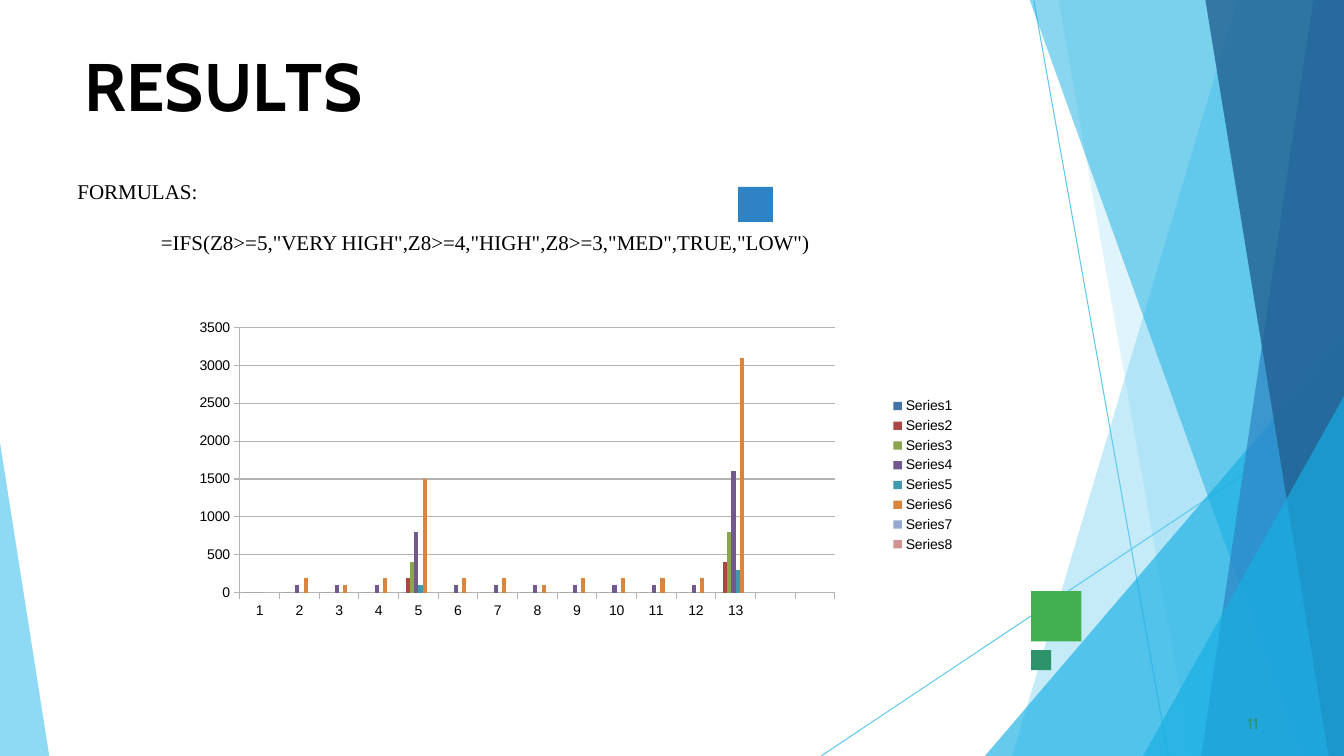
from lxml import etree
from pptx import Presentation
from pptx import util as u
from pptx.chart.data import CategoryChartData
from pptx.dml.color import RGBColor
from pptx.enum import chart as ch, shapes, text
from pptx.oxml import parse_xml
from pptx.oxml.ns import nsdecls, qn

W, H = 960, 540
SKY, BLUE, STEEL, NAVY = "5FCAEE", "17AFE3", "2D83C3", "226192"


def color(hex_string):
    return RGBColor.from_string(hex_string)


def write(paragraph, runs, font="Times New Roman", size=15, ink="000000",
          bold=False, before=0, left=0):
    """Write (text, letter spacing) runs into a paragraph."""
    paragraph.space_before = u.Pt(before)
    paragraph.alignment = text.PP_ALIGN.LEFT
    paragraph._p.get_or_add_pPr().set("marL", str(u.Pt(left)))
    for words, spacing in runs:
        run = paragraph.add_run()
        run.text = words
        run.font.name, run.font.size, run.font.bold = font, u.Pt(size), bold
        run.font.color.rgb = color(ink)
        if spacing:
            run._r.get_or_add_rPr().set("spc", str(round(spacing * 100)))


class ResultsSlide:
    line_color = SKY
    grid_color = "B3B3B3"
    chart_font = "Arial"

    def __init__(self, slide):
        self.shapes = slide.shapes

    def paint(self, shape, fill, opacity=100):
        shape.shadow.inherit = False
        shape.fill.solid()
        shape.fill.fore_color.rgb = color(fill)
        shape.line.fill.background()
        if opacity < 100:
            tint = shape.fill._xPr.find(".//" + qn("a:srgbClr"))
            etree.SubElement(tint, qn("a:alpha")).set("val", str(opacity * 1000))

    def facet(self, points, fill, opacity):
        corners = [(u.Pt(x), u.Pt(y)) for x, y in points]
        builder = self.shapes.build_freeform(*corners[0], scale=1.0)
        builder.add_line_segments(corners[1:], close=True)
        self.paint(builder.convert_to_shape(), fill, opacity)

    def square(self, x, y, side, fill):
        box = self.shapes.add_shape(shapes.MSO_SHAPE.RECTANGLE,
                                    u.Pt(x), u.Pt(y), u.Pt(side), u.Pt(side))
        self.paint(box, fill)

    def line(self, *ends):
        ray = self.shapes.add_connector(shapes.MSO_CONNECTOR.STRAIGHT,
                                        *(u.Pt(end) for end in ends))
        ray.line.color.rgb = color(self.line_color)
        ray.line.width = u.Pt(0.75)
        etree.SubElement(ray._element.spPr, qn("a:effectLst"))

    def text_frame(self, x, y, width, height, inset=(0, 0.9, 0, 0)):
        frame = self.shapes.add_textbox(u.Pt(x), u.Pt(y),
                                        u.Pt(width), u.Pt(height)).text_frame
        frame.word_wrap = True
        (frame.margin_left, frame.margin_top,
         frame.margin_right, frame.margin_bottom) = (u.Pt(m) for m in inset)
        return frame

    def column_chart(self, x, y, width, height, categories, series, plot_area):
        data = CategoryChartData()
        data.categories = categories
        for name, _, values in series:
            data.add_series(name, values)
        chart = self.shapes.add_chart(
            ch.XL_CHART_TYPE.COLUMN_CLUSTERED, u.Pt(x), u.Pt(y),
            u.Pt(width), u.Pt(height), data).chart
        chart.has_title = False
        chart.font.name, chart.font.size = self.chart_font, u.Pt(10)
        chart.font.color.rgb = color("000000")
        chart.has_legend = True
        chart.legend.position = ch.XL_LEGEND_POSITION.RIGHT
        chart.legend.include_in_layout = False

        plot = chart.plots[0]
        plot.vary_by_categories = False
        plot.gap_width, plot.overlap = 150, 0
        for column, (_, fill, _) in zip(plot.series, series):
            column.format.fill.solid()
            column.format.fill.fore_color.rgb = color(fill)
            column.invert_if_negative = False

        axis = chart.value_axis
        axis.minimum_scale, axis.maximum_scale, axis.major_unit = 0, 3500, 500
        axis.has_major_gridlines = True
        for part in (axis, chart.category_axis, axis.major_gridlines):
            part.format.line.color.rgb = color(self.grid_color)
            part.format.line.width = u.Pt(0.75)

        # Fixed inner plot area, as fractions of the chart
        sizes = "".join(f'<c:{key} val="{value}"/>'
                        for key, value in zip("xywh", plot_area))
        area = chart._chartSpace.chart.plotArea
        for layout in area.findall(qn("c:layout")):
            area.remove(layout)
        area.insert(0, parse_xml(
            f'<c:layout {nsdecls("c")}><c:manualLayout><c:layoutTarget val="inner"/>'
            f'<c:xMode val="edge"/><c:yMode val="edge"/>{sizes}'
            '</c:manualLayout></c:layout>'))


def main():
    deck = Presentation()
    deck.slide_width, deck.slide_height = u.Pt(W), u.Pt(H)
    results = ResultsSlide(deck.slides.add_slide(deck.slide_layouts[6]))

    # Thin rays
    results.line(738.5, 0.5, 834.5, H)
    results.line(W, 291, 586.5, H)

    # Right-hand facets: starting corner, bottom-edge x, fill, opacity
    for start, bottom, fill, opacity in [
            ((884, 0), 723, SKY, 36), ((756, 0), 851, SKY, 20),
            ((W, 240), 703.5, BLUE, 66), ((735.5, 0), 929.5, BLUE, 50),
            ((938, 0), 858, STEEL, 70), ((861, 0), 949, NAVY, 80),
            ((W, 283), 816.5, BLUE, 66)]:
        corner = [(W, 0)] if start[0] < W else []
        results.facet(corner + [start, (bottom, H), (W, H)], fill, opacity)

    # Left-hand facet
    results.facet([(0, 316), (0, H), (35.2, H)], SKY, 70)

    # Small squares
    results.square(736.5, 422.2, 36, "42AF51")
    results.square(527.2, 133.6, 25, STEEL)
    results.square(736.5, 464.4, 14.3, "2D936B")

    # Title
    title = results.text_frame(59.5, 30.9, 841, 58.3)
    write(title.paragraphs[0],
          [("R", 0), ("E", -0.4), ("S", 0.1), ("U", -0.3), ("L", -4), ("TS", 0)],
          font="Cabin", size=48, bold=True, before=1, left=1)

    # Formula
    formulas = results.text_frame(48.2, 123.9, 864, 62, inset=(7.2, 3.6, 7.2, 3.6))
    write(formulas.paragraphs[0], [("FORMULAS:", 0)])
    write(formulas.add_paragraph(),
          [('=IFS(Z8>=5,"VERY HIGH",Z8>=4,"HIGH",Z8>=3,"MED",TRUE,"LOW")', 0)],
          before=18.5, left=59.7)

    # Slide number
    number = results.text_frame(888, 509.3, 18, 13.3)
    write(number.paragraphs[0], [("11", 0.1)], font="Cabin", size=11,
          ink="2D936B", before=0.6, left=3)

    # Results chart
    categories = [str(n) for n in range(1, 14)] + ["", " "]
    columns = [
        ("4572A7", [0] * 13),
        ("AA4643", [0] * 4 + [200] + [0] * 7 + [400]),
        ("89A54E", [0] * 4 + [400] + [0] * 7 + [800]),
        ("71588F", [0] + [100] * 3 + [800] + [100] * 7 + [1600]),
        ("4198AF", [0] * 4 + [100] + [0] * 7 + [300]),
        ("DB843D", [0, 200, 100, 200, 1500, 200, 200, 100] + [200] * 4 + [3100]),
        ("93A9CF", [None] * 13),
        ("D19392", [None] * 13),
    ]
    series = [(f"Series{n}", fill, values + [None] * 2)
              for n, (fill, values) in enumerate(columns, 1)]
    results.column_chart(92.6, 220.6, 596.8, 237.6, categories, series,
                         (0.132, 0.056, 0.712, 0.798))

    deck.save("out.pptx")


if __name__ == "__main__":
    main()
